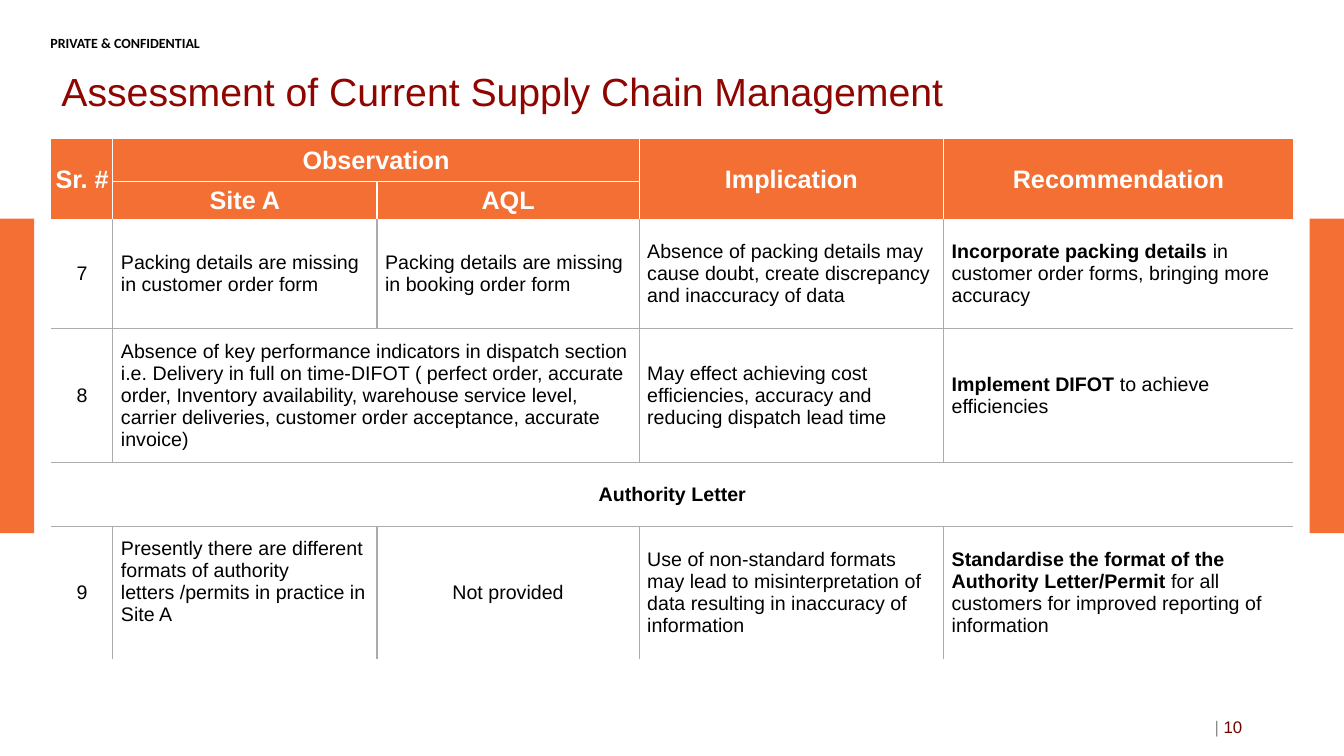
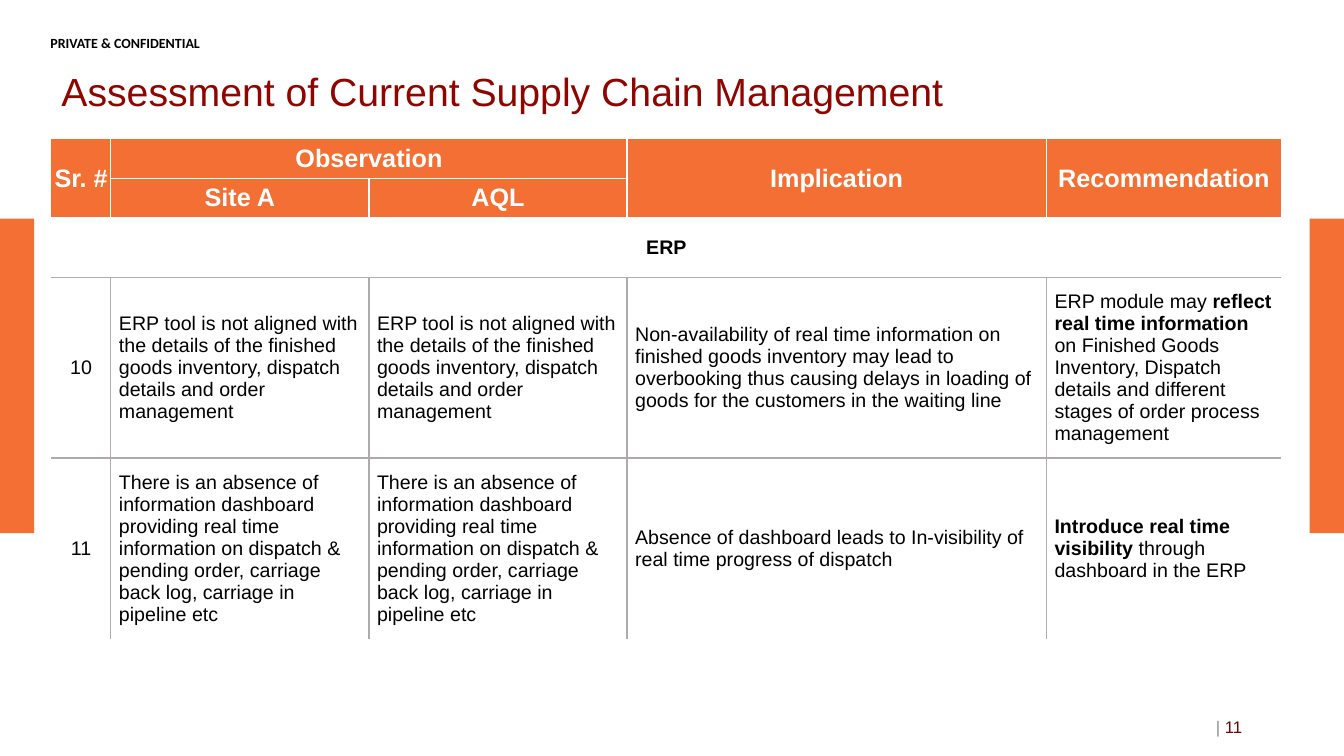
from dataclasses import dataclass

import lxml.etree
import pptx
import pptx.dml.color
import pptx.enum.shapes
import pptx.enum.text
import pptx.oxml.ns
import pptx.shapes.autoshape
import pptx.slide
import pptx.table
import pptx.text.text
import pptx.util

Inches = pptx.util.Inches
Pt = pptx.util.Pt
ALIGN = pptx.enum.text.PP_ALIGN
MIDDLE = pptx.enum.text.MSO_ANCHOR.MIDDLE

HUES = {
    "band": "F46F33",
    "head": "F36F33",
    "title": "8F0500",
    "page": "6A0500",
    "bar": "8C8C8C",
    "rule": "AFABAB",
    "white": "FFFFFF",
    "black": "000000",
}
TITLE = "Assessment of Current Supply Chain Management"
HEAD_ROWS = 2


@dataclass(frozen=True)
class Run:
    text: str
    bold: bool = False


@dataclass(frozen=True)
class Cell:
    row: int
    col: int
    runs: tuple[Run, ...]
    wide: int = 1
    tall: int = 1
    mid: bool = False
    foot: float = 0.08


@dataclass(frozen=True)
class Page:
    number: int
    cols: tuple[float, ...]
    rows: tuple[float, ...]
    cells: tuple[Cell, ...]


def head(row: int, col: int, text: str, wide: int = 1, tall: int = 1) -> Cell:
    return Cell(row, col, (Run(text, True),), wide, tall, True)


def band(row: int, text: str) -> Cell:
    return head(row, 0, text, wide=5)


def mark(row: int, text: str) -> Cell:
    return Cell(row, 0, (Run(text),), mid=True)


def note(row: int, col: int, text: str, wide: int = 1) -> Cell:
    return Cell(row, col, (Run(text),), wide)


HEADS = (
    head(0, 0, "Sr. #", tall=2),
    head(0, 1, "Observation", wide=2),
    head(0, 3, "Implication", tall=2),
    head(0, 4, "Recommendation", tall=2),
    head(1, 1, "Site A"),
    head(1, 2, "AQL"),
)

ALIGNED = (
    "ERP tool is not aligned with the details of the finished goods "
    "inventory, dispatch details and order management"
)
ABSENT = (
    "There is an absence of information dashboard providing real time "
    "information on dispatch & pending order, carriage back log, carriage "
    "in pipeline etc"
)

PAGES = (
    Page(
        10,
        (0.61, 2.62, 2.6, 3.02, 3.47),
        (0.42, 0.38, 1.08, 1.08, 0.64, 1.08),
        (
            mark(2, "7"),
            note(2, 1, "Packing details are missing in customer order form"),
            note(2, 2, "Packing details are missing in booking order form"),
            note(2, 3, "Absence of packing details may cause doubt, create "
                 "discrepancy and inaccuracy of data"),
            Cell(2, 4, (
                Run("Incorporate packing details ", True),
                Run("in customer order forms, bringing more accuracy"),
            )),
            mark(3, "8"),
            note(3, 1, "Absence of key performance indicators in dispatch "
                 "section i.e. Delivery in full on time-DIFOT ( perfect order, "
                 "accurate order, Inventory availability, warehouse service "
                 "level, carrier deliveries, customer order acceptance, "
                 "accurate invoice)", wide=2),
            note(3, 3, "May effect achieving cost efficiencies, accuracy and "
                 "reducing dispatch lead time"),
            Cell(3, 4, (
                Run("Implement DIFOT", True),
                Run(" to achieve efficiencies"),
            )),
            band(4, "Authority Letter"),
            mark(5, "9"),
            Cell(5, 1, (
                Run("Presently there are different formats of authority "
                    "letters /permits in practice in Site A"),
            ), foot=0.3),
            Cell(5, 2, (Run("Not provided"),), mid=True),
            note(5, 3, "Use of non-standard formats may lead to "
                 "misinterpretation of data resulting in inaccuracy of "
                 "information"),
            Cell(5, 4, (
                Run("Standardise the format of the Authority Letter/Permit ",
                    True),
                Run("for all customers for improved reporting of information"),
            )),
        ),
    ),
    Page(
        11,
        (0.59, 2.56, 2.56, 4.16, 2.33),
        (0.39, 0.39, 0.59, 1.77, 0.5),
        (
            band(2, "ERP"),
            mark(3, "10"),
            note(3, 1, ALIGNED),
            note(3, 2, ALIGNED),
            note(3, 3, "Non-availability of real time information on finished "
                 "goods inventory may lead to overbooking thus causing delays "
                 "in loading of goods for the customers in the waiting line"),
            Cell(3, 4, (
                Run("ERP module may "),
                Run("reflect real time information ", True),
                Run("on Finished Goods Inventory, Dispatch details and "
                    "different stages of order process management"),
            )),
            mark(4, "11"),
            note(4, 1, ABSENT),
            note(4, 2, ABSENT),
            note(4, 3, "Absence of dashboard leads to In-visibility of real "
                 "time progress of dispatch"),
            Cell(4, 4, (
                Run("Introduce real time visibility ", True),
                Run("through dashboard in the ERP"),
            )),
        ),
    ),
)


def shade(hue: str) -> pptx.dml.color.RGBColor:
    return pptx.dml.color.RGBColor.from_string(HUES[hue])


def write(
    para: pptx.text.text._Paragraph,
    text: str,
    size: float,
    hue: str,
    bold: bool = False,
    face: str = "Arial",
) -> None:
    run = para.add_run()
    run.text = text
    run.font.size = Pt(size)
    run.font.name = face
    run.font.bold = bold
    run.font.color.rgb = shade(hue)


def rule(cell: pptx.table._Cell, hues: dict[str, str | None]) -> None:
    props = cell._tc.get_or_add_tcPr()
    qn = pptx.oxml.ns.qn
    for spot, (side, hue) in enumerate(hues.items()):
        line = lxml.etree.Element(qn(f"a:ln{side}"), w=str(Pt(1)))
        if hue is None:
            lxml.etree.SubElement(line, qn("a:noFill"))
        else:
            fill = lxml.etree.SubElement(line, qn("a:solidFill"))
            lxml.etree.SubElement(fill, qn("a:srgbClr"), val=HUES[hue])
        props.insert(spot, line)


def fill_cell(table: pptx.table.Table, item: Cell, page: Page) -> None:
    end_row = item.row + item.tall
    end_col = item.col + item.wide
    cell = table.cell(item.row, item.col)
    if item.wide > 1 or item.tall > 1:
        cell.merge(table.cell(end_row - 1, end_col - 1))
    top = item.row < HEAD_ROWS
    if top:
        cell.fill.solid()
        cell.fill.fore_color.rgb = shade("head")
    else:
        cell.fill.background()
    pad = Inches(0 if top else 0.08)
    cell.margin_left = cell.margin_right = cell.margin_top = pad
    cell.margin_bottom = Inches(0 if top else item.foot)
    cell.vertical_anchor = MIDDLE
    hue = "white" if top else "rule"
    over = "white" if item.row <= HEAD_ROWS else "rule"
    rule(cell, {
        "L": hue if item.col > 0 else None,
        "R": hue if end_col < len(page.cols) else None,
        "T": over if item.row > 0 else None,
        "B": hue if end_row < len(page.rows) else None,
    })
    para = cell.text_frame.paragraphs[0]
    para.alignment = ALIGN.CENTER if item.mid else ALIGN.LEFT
    for run in item.runs:
        write(para, run.text, 18 if top else 14,
              "white" if top else "black", run.bold)


def add_grid(slide: pptx.slide.Slide, page: Page) -> None:
    frame = slide.shapes.add_table(
        len(page.rows), len(page.cols), Inches(0.51), Inches(1.38),
        Inches(sum(page.cols)), Inches(sum(page.rows)))
    table = frame.table
    table.first_row = table.horz_banding = False
    for col, width in zip(table.columns, page.cols):
        col.width = Inches(width)
    for row, height in zip(table.rows, page.rows):
        row.height = Inches(height)
    for item in HEADS + page.cells:
        fill_cell(table, item, page)


def add_box(
    slide: pptx.slide.Slide, left: float, top: float, width: float, height: float
) -> pptx.text.text.TextFrame:
    box = slide.shapes.add_textbox(
        Inches(left), Inches(top), Inches(width), Inches(height))
    box.text_frame.word_wrap = True
    return box.text_frame


def add_frame(slide: pptx.slide.Slide, number: int) -> None:
    for left in (0, 12.99):
        bar = slide.shapes.add_shape(
            pptx.enum.shapes.MSO_SHAPE.RECTANGLE,
            Inches(left), Inches(2.17), Inches(0.34), Inches(3.12))
        bar.shadow.inherit = False
        bar.fill.solid()
        bar.fill.fore_color.rgb = shade("band")
        bar.line.fill.background()

    label = add_box(slide, 0.5, 0.34, 2.53, 0.12)
    label.margin_left = label.margin_right = 0
    label.margin_top = label.margin_bottom = 0
    write(label.paragraphs[0], "PRIVATE & CONFIDENTIAL", 10, "black", True,
          "Calibri")

    title = slide.shapes.title
    title.left, title.top = Inches(0.51), Inches(0.58)
    title.width, title.height = Inches(10.86), Inches(0.71)
    title.text_frame.auto_size = pptx.enum.text.MSO_AUTO_SIZE.NONE
    title.text_frame.vertical_anchor = MIDDLE
    para = title.text_frame.paragraphs[0]
    para.alignment = ALIGN.LEFT
    para.line_spacing = 0.9
    write(para, TITLE, 28, "title")

    foot = add_box(slide, 9.42, 7.01, 3, 0.4)
    foot.vertical_anchor = MIDDLE
    para = foot.paragraphs[0]
    para.alignment = ALIGN.RIGHT
    write(para, "| ", 12, "bar")
    write(para, str(number), 12, "page")


def main() -> None:
    deck = pptx.Presentation()
    deck.slide_width, deck.slide_height = Inches(13.33), Inches(7.5)
    for page in PAGES:
        slide = deck.slides.add_slide(deck.slide_layouts[5])
        add_frame(slide, page.number)
        add_grid(slide, page)
    deck.save("out.pptx")


if __name__ == "__main__":
    main()
